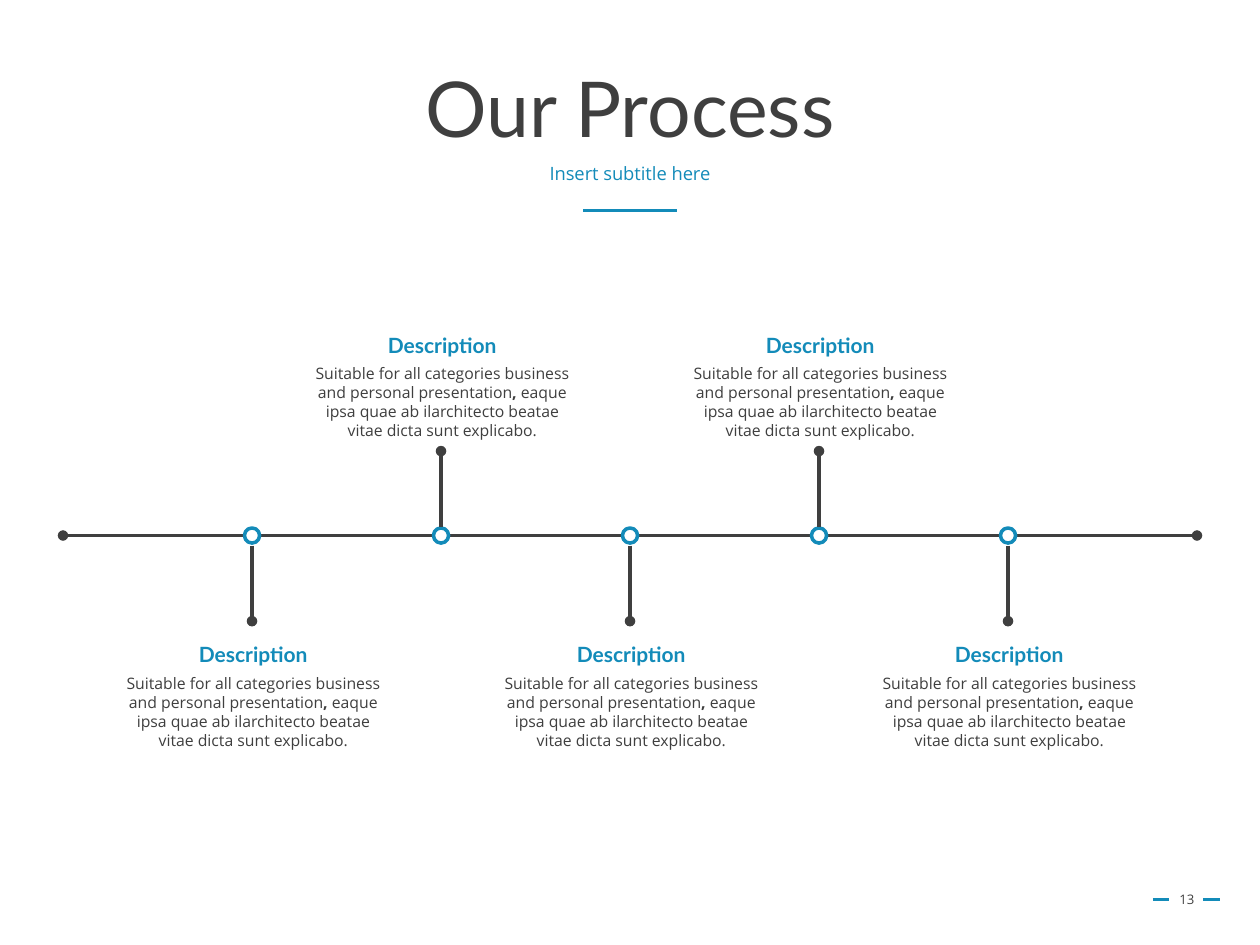
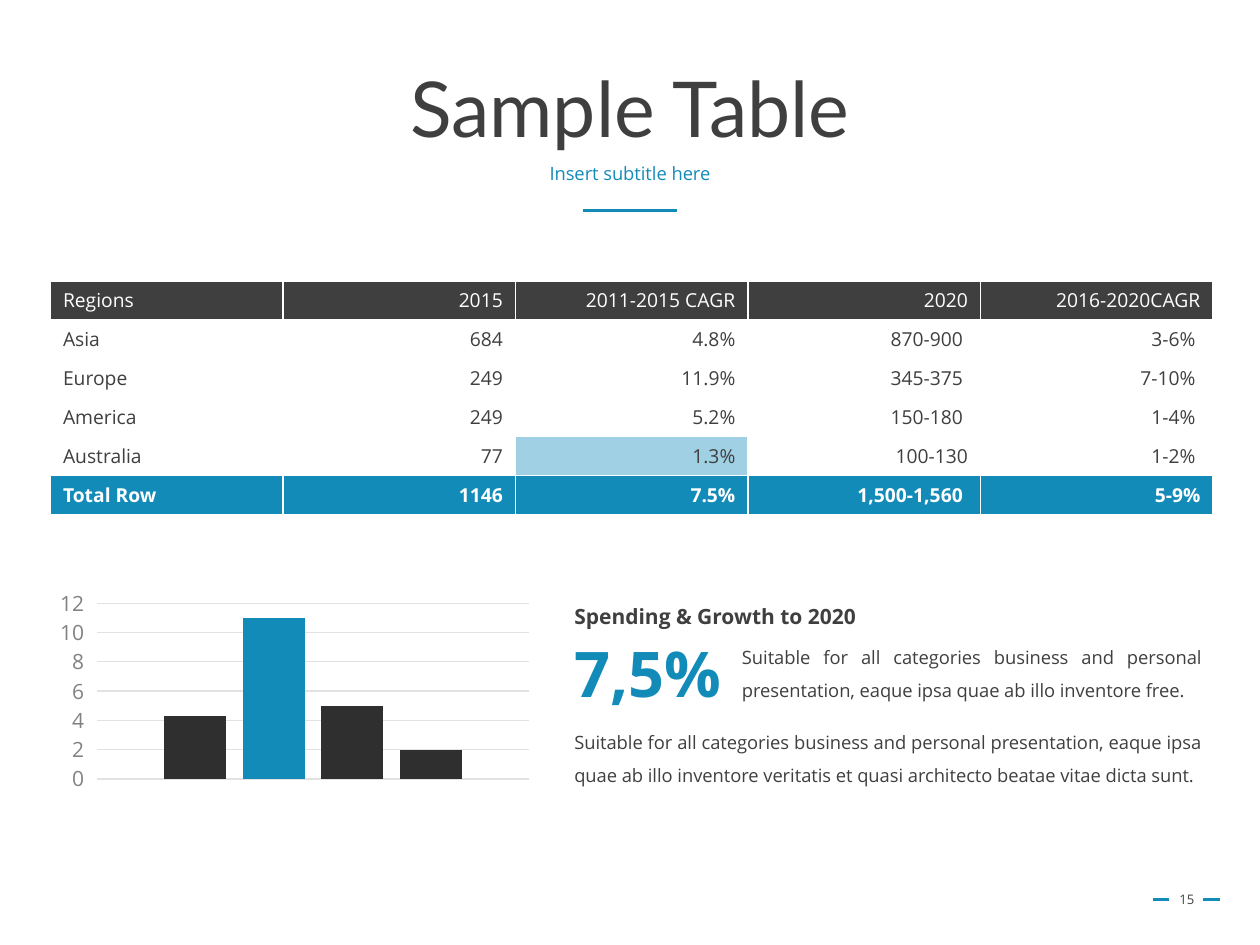
from dataclasses import dataclass

from lxml.etree import SubElement
from pptx import Presentation
from pptx.chart.data import CategoryChartData
from pptx.dml.color import RGBColor
from pptx.enum.chart import XL_CHART_TYPE, XL_TICK_MARK
from pptx.enum.shapes import MSO_CONNECTOR, MSO_SHAPE
from pptx.enum.text import MSO_ANCHOR, MSO_AUTO_SIZE, PP_ALIGN
from pptx.oxml.ns import qn
from pptx.util import Inches, Pt

WIDTH, HEIGHT = Inches(10), Inches(7.5)
COLUMN, ROW = WIDTH / 100, HEIGHT / 75
COLORS = {
    "accent": "138BB9",
    "ink": "3F3F3F",
    "bar": "2F2F2F",
    "axis": "828282",
    "grid": "E2E2E2",
    "paper": "FFFFFF",
}
HEAD, BODY = "Lato", "Open Sans"
CENTER, JUSTIFY = {"alignment": PP_ALIGN.CENTER}, {"alignment": PP_ALIGN.JUSTIFY, "line_spacing": 1.5}
HEADING = {"alignment": PP_ALIGN.CENTER, "line_spacing": 0.9}
FONTS = {
    "title": {"name": HEAD, "size": Pt(44), "bold": False},
    "subtitle": {"name": BODY, "size": Pt(10.5), "bold": False},
    "page": {"name": BODY, "size": Pt(7.5)},
    "caption": {"name": HEAD, "size": Pt(12), "bold": True},
    "detail": {"name": BODY, "size": Pt(9)},
    "cell": {"name": BODY, "size": Pt(11), "bold": False},
    "total": {"name": BODY, "size": Pt(11), "bold": True},
    "topic": {"name": BODY, "size": Pt(12), "bold": True},
    "figure": {"name": BODY, "size": Pt(36), "bold": True},
    "text": {"name": BODY, "size": Pt(10.5)},
    "scale": {"name": BODY, "size": Pt(12)},
    "chart": {"name": BODY, "size": Pt(10)},
}
SUBTITLE = "Insert subtitle here"
MILESTONES = ["Description"] * 5
DETAIL = [
    ("Suitable for all categories business and personal presentation", False),
    (",", True),
    (" eaque ipsa quae ab ilarchitecto beatae vitae dicta sunt explicabo.", False),
]
REGIONS = [
    ["Regions", "2015", "2011-2015 CAGR", "2020", "2016-2020CAGR"],
    ["Asia", "684", "4.8%", "870-900 ", "3-6% "],
    ["Europe", "249", "11.9%", "345-375 ", "7-10% "],
    ["America", "249", "5.2%", "150-180 ", "1-4% "],
    ["Australia", "77", "1.3%", "100-130", "1-2% "],
    ["Total Row", "1146", "7.5%", "1,500-1,560 ", "5-9%"],
]
HIGHLIGHT = (4, 2)
SPENDING = [(4.3, "bar"), (11, "accent"), (5, "bar"), (2, "bar")]
OPENING = "Suitable for all categories business and personal presentation, eaque ipsa quae ab illo inventore "


@dataclass
class Box:
    """A region measured in grid columns and rows."""

    left: float
    top: float
    width: float
    height: float

    def inner(self, left, top, width, height):
        """Return a region placed relative to this one."""
        return Box(self.left + left, self.top + top, width, height)

    def lengths(self):
        """Return left, top, width and height as slide lengths."""
        return (round(self.left * COLUMN), round(self.top * ROW),
                round(self.width * COLUMN), round(self.height * ROW))


def apply(target, formats):
    """Set every attribute named in a dict of formats."""
    for name, value in formats.items():
        setattr(target, name, value)


def rgb(color):
    """Look up a named colour."""
    return RGBColor.from_string(COLORS[color])


def style(font, kind, color):
    """Format a font by its kind and colour."""
    apply(font, FONTS[kind])
    font.color.rgb = rgb(color)


def write(frame, runs, kind, color, layout):
    """Fill the first paragraph of a frame with styled runs."""
    paragraph = frame.paragraphs[0]
    apply(paragraph, layout)
    for words, bold in [(runs, None)] if isinstance(runs, str) else runs:
        run = paragraph.add_run()
        run.text = words
        style(run.font, kind, color)
        if bold is not None:
            run.font.bold = bold
    return paragraph


def label(slide, box, runs, kind, color, layout, **frame_formats):
    """Add a text box."""
    frame = slide.shapes.add_textbox(*box.lengths()).text_frame
    apply(frame, {"word_wrap": True, "auto_size": MSO_AUTO_SIZE.SHAPE_TO_FIT_TEXT, **frame_formats})
    write(frame, runs, kind, color, layout)


def rule(slide, start, end, color, width, ends=()):
    """Add a straight line with optional round ends."""
    (x1, y1), (x2, y2) = start, end
    left, top, right, bottom = (round(v) for v in (x1 * COLUMN, y1 * ROW, x2 * COLUMN, y2 * ROW))
    connector = slide.shapes.add_connector(MSO_CONNECTOR.STRAIGHT, left, top, right, bottom)
    connector.line.color.rgb = rgb(color)
    connector.line.width = Pt(width)
    outline = connector._element.spPr.find(qn("a:ln"))
    for end_name in ends:
        SubElement(outline, qn(f"a:{end_name}"), type="oval")
    SubElement(connector._element.spPr, qn("a:effectLst"))


def heading(slide, box, title):
    """Fill the title and subtitle placeholders and underline them."""
    body = slide.placeholders[1]
    holders = [
        (slide.shapes.title, box.inner(0, 0, box.width, 9.8), title, "title", "ink", HEADING, MSO_ANCHOR.MIDDLE),
        (body, box.inner(0, 8.6, box.width, 4), SUBTITLE, "subtitle", "accent",
         {**HEADING, "space_before": Pt(10)}, MSO_ANCHOR.TOP),
    ]
    for holder, place, words, kind, color, layout, anchor in holders:
        apply(holder, dict(zip(("left", "top", "width", "height"), place.lengths())))
        apply(holder.text_frame, {"auto_size": MSO_AUTO_SIZE.NONE, "vertical_anchor": anchor})
        paragraph = write(holder.text_frame, words, kind, color, layout)
    properties = paragraph._p.get_or_add_pPr()
    properties.set("marL", "0")
    properties.set("indent", "0")
    SubElement(properties, qn("a:buNone"))
    middle, under = box.left + box.width / 2, box.top + 12.7
    rule(slide, (middle - 3.7, under), (middle + 3.7, under), "accent", 1.75)


def footer(slide, box, page):
    """Add the page number between two dashes."""
    level = box.top + box.height / 2
    for left in (box.left, box.left + box.width - 1.3):
        rule(slide, (left, level), (left + 1.3, level), "accent", 1.75)
    label(slide, box.inner(0.5, 0, 4.4, box.height), page, "page", "ink", CENTER,
          auto_size=MSO_AUTO_SIZE.NONE, vertical_anchor=MSO_ANCHOR.MIDDLE)


def timeline(slide, box):
    """Draw the axis with milestones alternating below and above it."""
    axis = box.top + box.height / 2
    step = box.width / (len(MILESTONES) + 1)
    rule(slide, (box.left, axis), (box.left + box.width, axis), "ink", 2, ("headEnd", "tailEnd"))
    for index, name in enumerate(MILESTONES):
        milestone(slide, Box(box.left + step * (index + 1), axis, 0, 0), name, index % 2 == 1)


def milestone(slide, spot, name, above):
    """Draw one ring, its stem and its caption."""
    ring = slide.shapes.add_shape(MSO_SHAPE.OVAL, *spot.inner(-0.6, -0.6, 1.2, 1.2).lengths())
    ring.shadow.inherit = False
    ring.fill.solid()
    ring.fill.fore_color.rgb = rgb("paper")
    ring.line.color.rgb = rgb("accent")
    ring.line.width = Pt(2)
    start, end, caption, detail, tip = (
        (-6.7, -0.7, -16.6, -14.1, "headEnd") if above else (0.8, 6.8, 7.9, 10.5, "tailEnd"))
    rule(slide, (spot.left, spot.top + start), (spot.left, spot.top + end), "ink", 2, (tip,))
    label(slide, spot.inner(-11.3, detail, 22.8, 7.1), DETAIL, "detail", "ink", CENTER)
    label(slide, spot.inner(-8.45, caption, 17.1, 3), name, "caption", "accent", CENTER)


def border(cell):
    """Give a cell thin white borders."""
    for side in ("lnL", "lnR", "lnT", "lnB"):
        line = SubElement(cell._tc.get_or_add_tcPr(), qn(f"a:{side}"), w=str(Pt(1)))
        SubElement(SubElement(line, qn("a:solidFill")), qn("a:srgbClr"), val=COLORS["paper"])


def region_table(slide, box):
    """Add the table of regions with header, highlight and total."""
    last = len(REGIONS) - 1
    table = slide.shapes.add_table(len(REGIONS), len(REGIONS[0]), *box.lengths()).table
    apply(table, {"first_row": False, "horz_banding": False})
    fills = {0: "ink", last: "accent"}
    for row, values in enumerate(REGIONS):
        for column, value in enumerate(values):
            cell = table.cell(row, column)
            border(cell)
            fill = "accent" if (row, column) == HIGHLIGHT else fills.get(row)
            if fill:
                cell.fill.solid()
                cell.fill.fore_color.rgb = rgb(fill)
            else:
                cell.fill.background()
            write(cell.text_frame, value, "total" if row == last else "cell",
                  "paper" if row in fills else "ink",
                  {"alignment": PP_ALIGN.RIGHT if column else PP_ALIGN.LEFT})
    tint = table.cell(*HIGHLIGHT)._tc.tcPr.find(qn("a:solidFill"))
    SubElement(tint[0], qn("a:alpha"), val="40000")


def spending_chart(slide, box):
    """Add the column chart with one series per bar."""
    data = CategoryChartData()
    data.categories = ["1"]
    for number, (value, _) in enumerate(SPENDING, 1):
        data.add_series(f"Series {number}", [value])
    chart = slide.shapes.add_chart(XL_CHART_TYPE.COLUMN_CLUSTERED, *box.lengths(), data).chart
    apply(chart, {"has_legend": False, "has_title": False})
    style(chart.font, "chart", "ink")
    chart.category_axis.visible = False
    scale = chart.value_axis
    apply(scale, {"minimum_scale": 0, "maximum_scale": 12, "major_unit": 2,
                  "major_tick_mark": XL_TICK_MARK.OUTSIDE, "has_major_gridlines": True})
    style(scale.tick_labels.font, "scale", "axis")
    scale.format.line.fill.background()
    scale.major_gridlines.format.line.color.rgb = rgb("grid")
    scale.major_gridlines.format.line.width = Pt(0.75)
    plot = chart.plots[0]
    apply(plot, {"gap_width": 219, "overlap": -27, "vary_by_categories": False})
    for series, (_, color) in zip(plot.series, SPENDING):
        series.format.fill.solid()
        series.format.fill.fore_color.rgb = rgb(color)


def growth_summary(slide, box):
    """Add the growth figure and its explanation."""
    label(slide, box.inner(0, 10.3, box.width, 9),
          OPENING + "veritatis et quasi architecto beatae vitae dicta sunt.", "text", "ink", JUSTIFY)
    label(slide, box.inner(0, 0, 42.9, 4), "Spending & Growth to 2020", "topic", "ink", JUSTIFY)
    label(slide, box.inner(0, 3.5, 13.8, 7.1), "7,5%", "figure", "accent",
          {"alignment": PP_ALIGN.LEFT}, word_wrap=False)
    label(slide, box.inner(13.3, 3.5, box.width - 13.3, 6.3), OPENING + "free.", "text", "ink", JUSTIFY)


def start_slide(deck, title, page):
    """Add a slide with the shared heading and footer."""
    slide = deck.slides.add_slide(deck.slide_layouts[1])
    heading(slide, Box(6.9, 4, 86.2, 12.7), title)
    footer(slide, Box(91.5, 69.4, 5.3, 4), page)
    return slide


def main():
    """Build and save the two slides."""
    deck = Presentation()
    apply(deck, {"slide_width": WIDTH, "slide_height": HEIGHT})
    timeline(start_slide(deck, "Our Process", "13"), Box(5, 25.9, 90, 33.2))
    sample = start_slide(deck, "Sample Table", "15")
    region_table(sample, Box(4, 22.3, 92.3, 18))
    spending_chart(sample, Box(4, 46.4, 38.8, 16.9))
    growth_summary(sample, Box(44.6, 46.4, 51.8, 19.3))
    deck.save("out.pptx")


if __name__ == "__main__":
    main()
